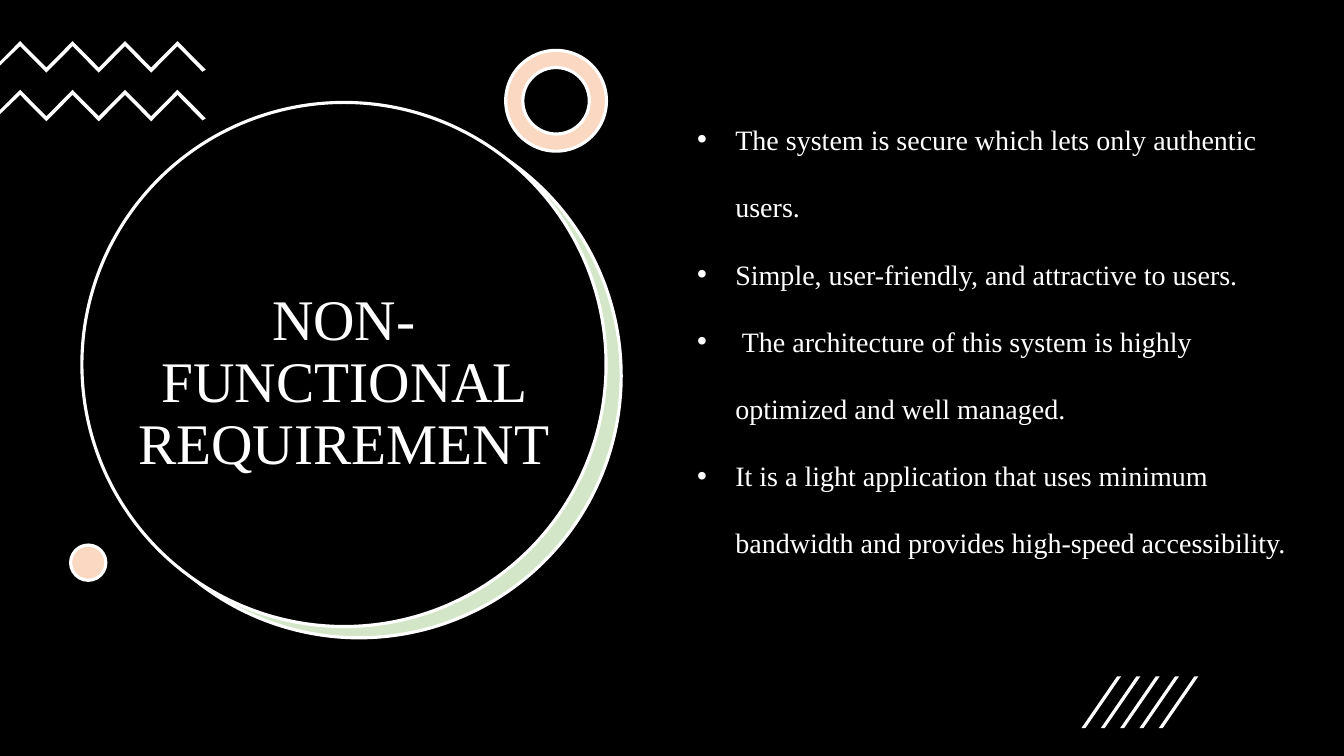
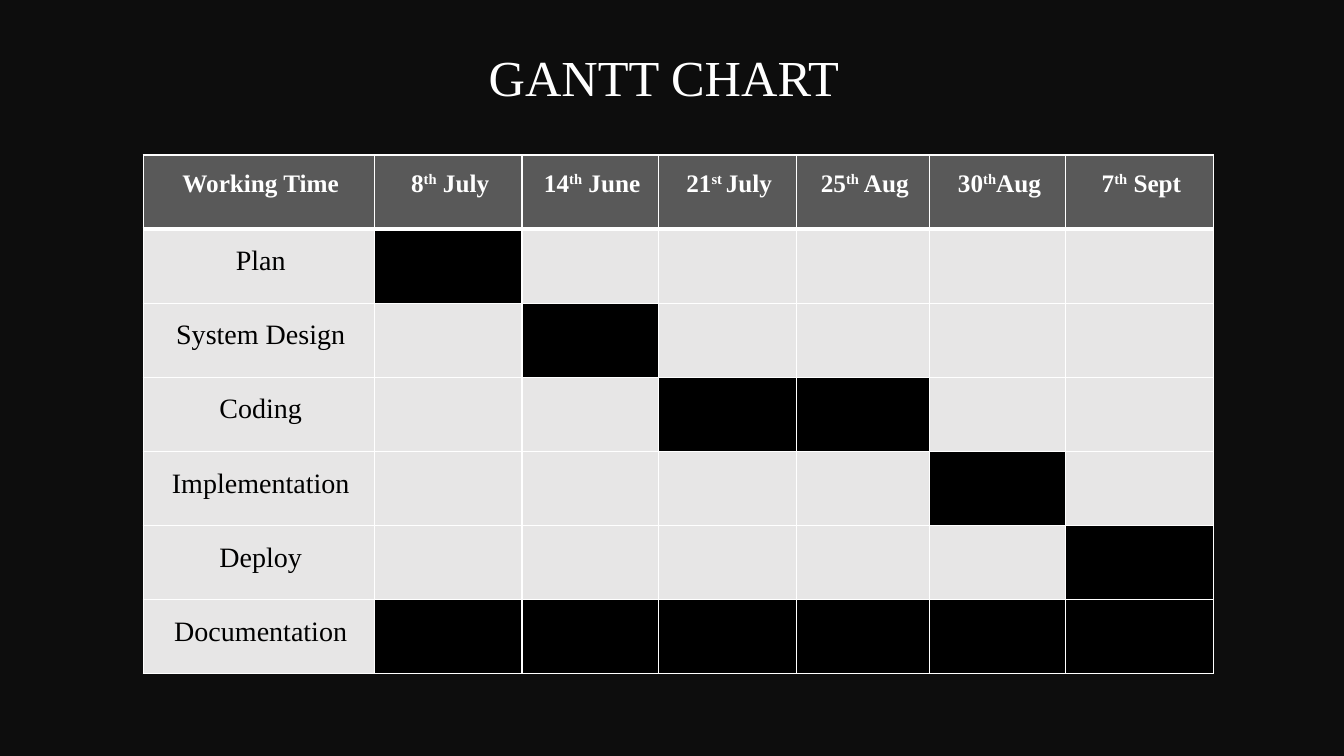
"""Two slides: non-functional requirements and a Gantt chart."""
from lxml.etree import SubElement
from pptx import Presentation
from pptx.dml.color import RGBColor
from pptx.enum.shapes import MSO_SHAPE as Preset
from pptx.enum.text import MSO_ANCHOR as Anchor, PP_ALIGN as Align
from pptx.oxml.ns import qn
from pptx.util import Inches, Pt

WHITE = RGBColor(0xFF, 0xFF, 0xFF)
BLACK = RGBColor(0x00, 0x00, 0x00)
CHARCOAL = RGBColor(0x0D, 0x0D, 0x0D)
HEADER_GRAY = RGBColor(0x59, 0x59, 0x59)
CELL_GRAY = RGBColor(0xE7, 0xE6, 0xE6)
PALE_GREEN = RGBColor(0xD4, 0xE6, 0xC8)
PEACH = RGBColor(0xFA, 0xD8, 0xC1)
FONT = "Times New Roman"

presentation = Presentation()
presentation.slide_width = Inches(13.33)
presentation.slide_height = Inches(7.5)
GRID_COLUMNS = 160
UNIT = presentation.slide_width / GRID_COLUMNS


def grid(*units):
    """Turn grid units into slide lengths."""
    return [round(unit * UNIT) for unit in units]


def add_run(paragraph, text, size, color=WHITE, bold=False):
    """Add one run of text in the shared font."""
    run = paragraph.add_run()
    run.text = text
    run.font.name = FONT
    run.font.size = Pt(size)
    run.font.bold = bold
    run.font.color.rgb = color
    return run


slides = []
for background in (BLACK, CHARCOAL):
    slide = presentation.slides.add_slide(presentation.slide_layouts[6])
    slide.background.fill.solid()
    slide.background.fill.fore_color.rgb = background
    slides.append(slide)
requirements_slide, gantt_slide = slides

ROUND_SHAPES = [
    (Preset.OVAL, PALE_GREEN, (11.55, 13.55, 62.4, 62.4)),
    (Preset.OVAL, BLACK, (9.75, 12.2, 62.4, 62.4)),
    (Preset.DONUT, PEACH, (60.2, 6, 12, 12)),
    (Preset.OVAL, PEACH, (8.4, 64.9, 4.2, 4.2)),
]
for preset, color, place in ROUND_SHAPES:
    shape = requirements_slide.shapes.add_shape(preset, *grid(*place))
    shape.shadow.inherit = False
    shape.fill.solid()
    shape.fill.fore_color.rgb = color
    shape.line.color.rgb = WHITE
    shape.line.width = Pt(2.25)
    if preset == Preset.DONUT:
        shape.adjustments[0] = 0.17

ZIGZAG_THICKNESS = 0.6
for zigzag_top in (4.9, 10.7):
    upper = [(2.4 + 3.12 * i, zigzag_top + 3.15 * (i % 2)) for i in range(7)]
    lower = [(x, y + ZIGZAG_THICKNESS) for x, y in reversed(upper)]
    right_end = [(24.5, zigzag_top + 3.4), (24.1, zigzag_top + 3.65)]
    left_end = [(0, zigzag_top + 2.9), (0, zigzag_top + 2.4)]
    outline = [grid(*point) for point in upper + right_end + lower + left_end]
    builder = requirements_slide.shapes.build_freeform(*outline[0])
    builder.add_line_segments(outline[1:], close=True)
    zigzag = builder.convert_to_shape()
    zigzag.shadow.inherit = False
    zigzag.fill.solid()
    zigzag.fill.fore_color.rgb = WHITE
    zigzag.line.fill.background()

for i in range(5):
    slash = requirements_slide.shapes.add_shape(
        Preset.PARALLELOGRAM, *grid(128.75 + 2.3 * i, 80.55, 4.7, 6.15))
    slash.adjustments[0] = 0.9
    slash.shadow.inherit = False
    slash.fill.solid()
    slash.fill.fore_color.rgb = WHITE
    slash.line.fill.background()

TITLES = [
    (requirements_slide, "NON-FUNCTIONAL REQUIREMENT", 41, Align.CENTER, (14.5, 24.6, 52.9, 42.2)),
    (gantt_slide, "GANTT CHART", 36, Align.LEFT, (57, 2.75, 46, 13.5)),
]
for slide, text, size, alignment, place in TITLES:
    title_frame = slide.shapes.add_textbox(*grid(*place)).text_frame
    title_frame.word_wrap = True
    title_frame.vertical_anchor = Anchor.MIDDLE
    paragraph = title_frame.paragraphs[0]
    paragraph.alignment = alignment
    paragraph.line_spacing = 0.9
    add_run(paragraph, text, size)

REQUIREMENTS = [
    "The system is secure which lets only authentic users.",
    "Simple, user-friendly, and attractive to users.",
    " The architecture of this system is highly optimized and well managed.",
    "It is a light application that uses minimum bandwidth and provides high-speed accessibility.",
]
body_frame = requirements_slide.shapes.add_textbox(*grid(81.8, 10, 73.4, 62.4)).text_frame
body_frame.word_wrap = True
for i, text in enumerate(REQUIREMENTS):
    paragraph = body_frame.add_paragraph() if i else body_frame.paragraphs[0]
    properties = paragraph._p.get_or_add_pPr()
    properties.set("marL", str(Inches(0.38)))
    properties.set("indent", str(-Inches(0.38)))
    SubElement(properties, qn("a:buFont"), typeface="Arial")
    SubElement(properties, qn("a:buChar"), char="•")
    paragraph.line_spacing = 2.0
    add_run(paragraph, text, 20)

DATES = [("8", "th", " July"), ("14", "th", " June"), ("21", "st ", "July"),
         ("25", "th", " Aug"), ("30", "th", "Aug"), ("7", "th", " Sept")]
TASKS = [("Plan", {1}), ("System Design", {2}), ("Coding", {3, 4}),
         ("Implementation", {5}), ("Deploy", {6}), ("Documentation", set(range(1, 7)))]
COLUMN_UNITS = [27.5, 17.6, 16.2, 16.45, 15.85, 16.2, 17.6]
ROW_UNITS = 8.83
row_count = len(TASKS) + 1
table = gantt_slide.shapes.add_table(
    row_count, len(COLUMN_UNITS),
    *grid(17.05, 18.45, sum(COLUMN_UNITS), ROW_UNITS * row_count)).table
table.horz_banding = False
for column, width in zip(table.columns, grid(*COLUMN_UNITS)):
    column.width = width

for r in range(row_count):
    table.rows[r].height = grid(ROW_UNITS)[0]
    for c in range(len(COLUMN_UNITS)):
        cell = table.cell(r, c)
        cell_properties = cell._tc.get_or_add_tcPr()
        for side in ("L", "R", "T", "B"):
            under_header = (r, side) in ((0, "B"), (1, "T"))
            border = SubElement(cell_properties, qn(f"a:ln{side}"), w=str(Pt(3 if under_header else 1)))
            border_fill = SubElement(border, qn("a:solidFill"))
            SubElement(border_fill, qn("a:srgbClr"), val=str(WHITE))
        cell.fill.solid()
        if r == 0:
            cell.fill.fore_color.rgb = HEADER_GRAY
        else:
            cell.fill.fore_color.rgb = BLACK if c in TASKS[r - 1][1] else CELL_GRAY
        if r and c:
            continue
        cell.margin_left, cell.margin_right = Inches(0.07), Inches(0.03)
        cell.margin_top, cell.margin_bottom = Inches(0.01), 0
        paragraph = cell.text_frame.paragraphs[0]
        paragraph.alignment = Align.CENTER
        paragraph.line_spacing = 1.5
        if r:
            add_run(paragraph, TASKS[r - 1][0], 20, BLACK)
        elif c == 0:
            add_run(paragraph, "Working Time", 18, bold=True)
        else:
            day, ordinal, month = DATES[c - 1]
            add_run(paragraph, day, 18, bold=True)
            superscript = add_run(paragraph, ordinal, 18, bold=True)
            superscript._r.get_or_add_rPr().set("baseline", "30000")
            add_run(paragraph, month, 18, bold=True)

presentation.save("out.pptx")
